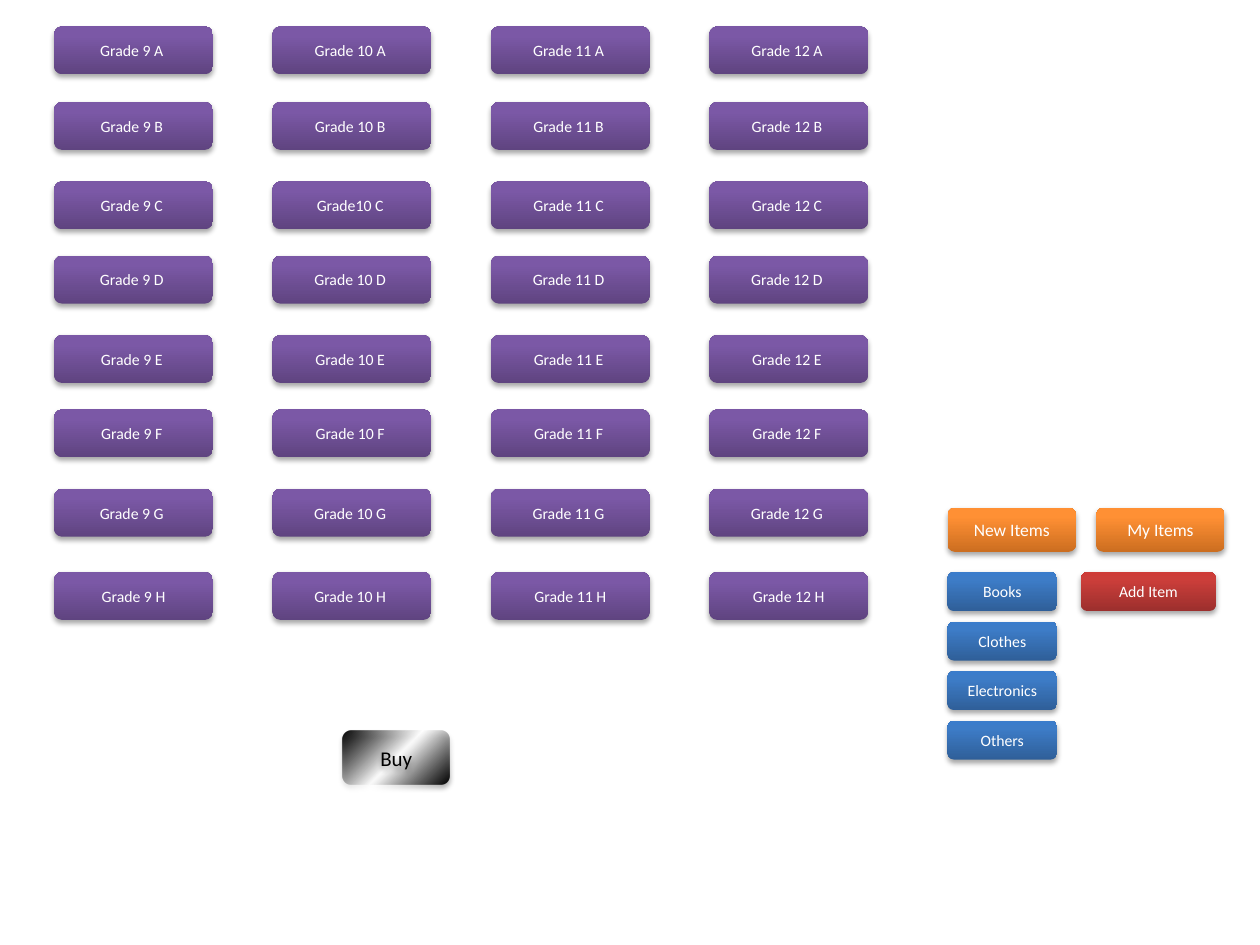
from dataclasses import dataclass

from lxml import etree
from pptx import Presentation
from pptx import util as u
from pptx.dml import color
from pptx.enum import shapes, text
from pptx.oxml import ns

FONT = "Calibri"
ROW_TOPS = (0.21, 0.81, 1.44, 2.03, 2.66, 3.25, 3.88, 4.54)
GRADE_LEFT, GRADE_PITCH = 0.43, 5.2 / 3
MENU_LEFT, MENU_TOP, MENU_PITCH = 7.52, 4.54, 0.393


@dataclass(frozen=True)
class Style:
    """Look of a button; each stop is (percent, colour, opacity percent)."""
    width: float
    height: float
    stops: tuple
    size: int = 9
    ink: str = "FFFFFF"
    angle: int = 270


@dataclass(frozen=True)
class Button:
    """A labelled button with its left and top in inches."""
    label: str
    left: float
    top: float
    style: Style


def shades(low: str, middle: str, high: str) -> tuple:
    """Return the stops of a glossy gradient, from bottom to top."""
    return (0, low, 100), (80, middle, 100), (100, high, 100)


GRADE = Style(1.26, 0.38, shades("5F4480", "7B58A6", "7C57A8"))
CATEGORY = Style(0.87, 0.31, shades("2F5F99", "3D7CC7", "3A7CCB"))
TAB = Style(1.02, 0.35, shades("CC6E20", "FF9034", "FF9136"), size=10)
ADD = Style(1.07, 0.31, shades("9C2F2D", "CB3E3A", "CE3B37"))
BUY = Style(0.85, 0.43, ((0, "000000", 100), (50, "2E2E2E", 0), (100, "000000", 100)),
            size=12, ink="000000", angle=225)


def add_node(parent, tag: str, **attributes):
    """Append a drawing element to parent and return it."""
    values = {key: str(value) for key, value in attributes.items()}
    return etree.SubElement(parent, ns.qn("a:" + tag), values)


def add_colour(parent, value: str, opacity: int) -> None:
    """Append a hex colour with its opacity in percent."""
    node = add_node(parent, "srgbClr", val=value)
    if opacity < 100:
        add_node(node, "alpha", val=opacity * 1000)


def paint(box, style: Style) -> None:
    """Give a box its gradient, no outline and a soft shadow below."""
    box.line.fill.background()
    properties = box.element.spPr
    gradient = add_node(properties, "gradFill", rotWithShape=1)
    stops = add_node(gradient, "gsLst")
    for position, value, opacity in style.stops:
        add_colour(add_node(stops, "gs", pos=position * 1000), value, opacity)
    add_node(gradient, "lin", ang=style.angle * 60000, scaled=0)
    properties.find(ns.qn("a:ln")).addprevious(gradient)
    effects = add_node(properties, "effectLst")
    shadow = add_node(effects, "outerShdw", blurRad=u.Pt(3.1), dist=u.Pt(1.8),
                      dir=90 * 60000, rotWithShape=0)
    add_colour(shadow, "000000", 35)


def add_button(page, button: Button) -> None:
    """Draw one rounded button with its centred label."""
    style = button.style
    box = page.shapes.add_shape(
        shapes.MSO_SHAPE.ROUNDED_RECTANGLE, u.Inches(button.left), u.Inches(button.top),
        u.Inches(style.width), u.Inches(style.height))
    paint(box, style)
    box.text_frame.word_wrap = True
    box.text_frame.vertical_anchor = text.MSO_ANCHOR.MIDDLE
    para = box.text_frame.paragraphs[0]
    para.alignment = text.PP_ALIGN.CENTER
    span = para.add_run()
    span.text = button.label
    span.font.name = FONT
    span.font.size = u.Pt(style.size)
    span.font.color.rgb = color.RGBColor.from_string(style.ink)


def grade_label(grade: int, section: str) -> str:
    """Return the wording of a class button."""
    gap = "" if (grade, section) == (10, "C") else " "
    tail = "" if section == "H" and grade != 10 else " "
    return f"Grade{gap}{grade} {section}{tail}"


def main() -> None:
    """Build the slide and save it."""
    deck = Presentation()
    deck.slide_width, deck.slide_height = u.Inches(10), u.Inches(7.5)
    page = deck.slides.add_slide(deck.slide_layouts[6])
    buttons = [
        Button(grade_label(grade, section), GRADE_LEFT + column * GRADE_PITCH, top, GRADE)
        for column, grade in enumerate(range(9, 13))
        for section, top in zip("ABCDEFGH", ROW_TOPS)
    ]
    buttons += [
        Button(label, MENU_LEFT, MENU_TOP + row * MENU_PITCH, CATEGORY)
        for row, label in enumerate(("Books", "Clothes", "Electronics", "Others"))
    ]
    buttons += [
        Button("New Items", MENU_LEFT, 4.03, TAB),
        Button("My Items", 8.7, 4.03, TAB),
        Button("Add Item", 8.58, MENU_TOP, ADD),
        Button("Buy", 2.72, 5.8, BUY),
    ]
    for button in buttons:
        add_button(page, button)
    deck.save("out.pptx")


main()
